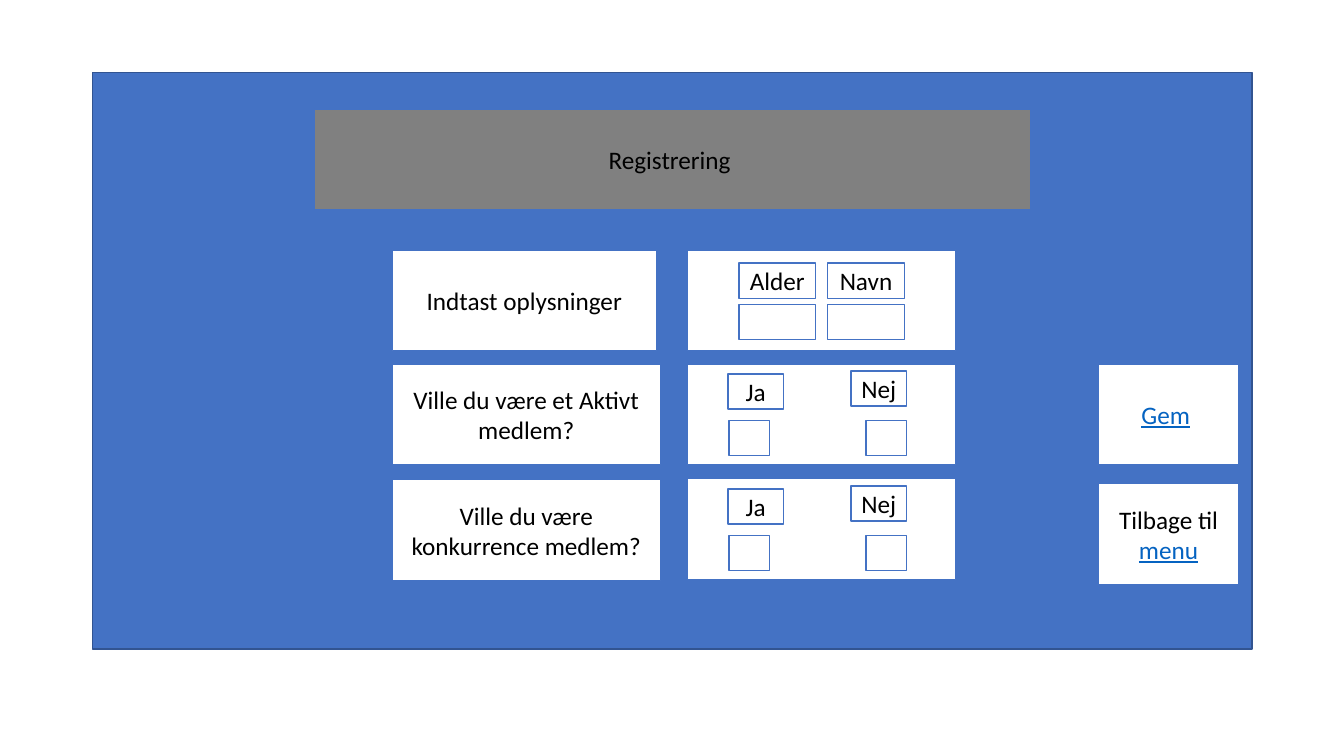
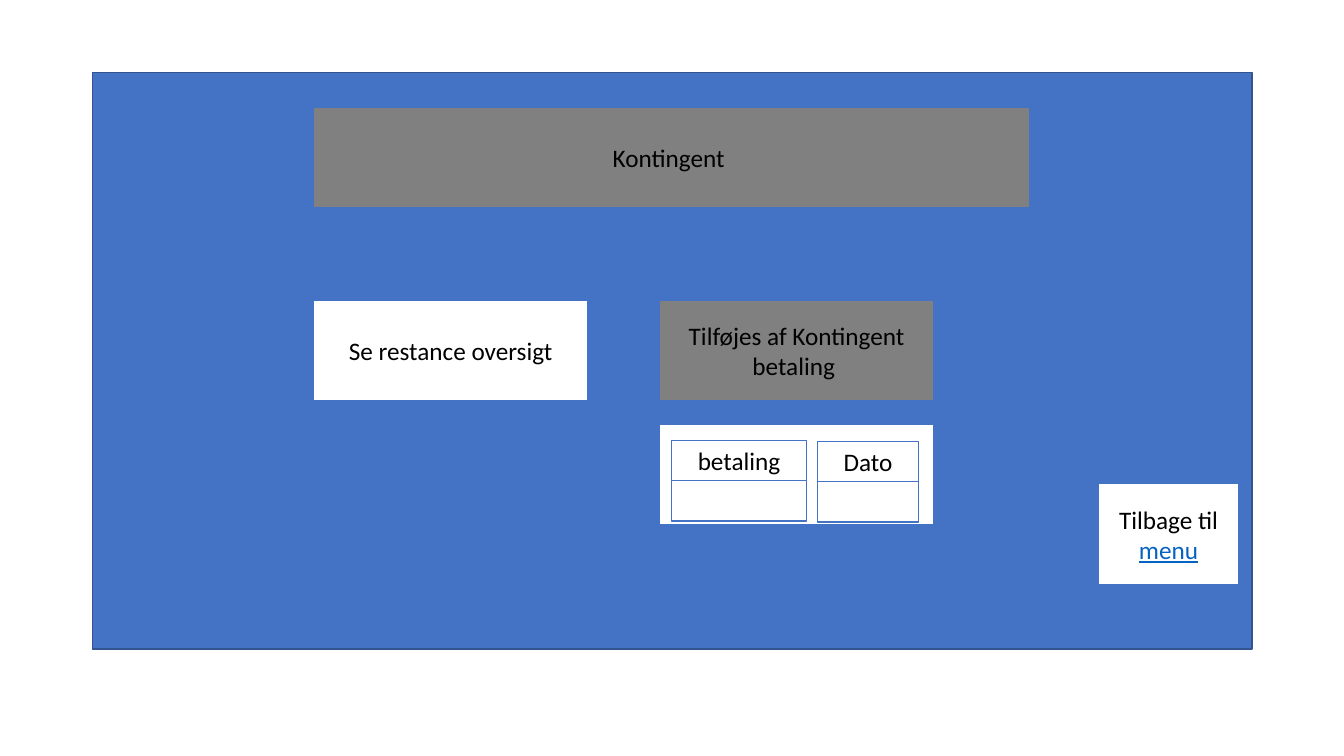
from pptx import Presentation
from pptx.dml.color import RGBColor
from pptx.enum.shapes import MSO_SHAPE as Shape
from pptx.enum.text import MSO_ANCHOR as Anchor, MSO_AUTO_SIZE as AutoSize, PP_ALIGN as Align
from pptx.util import Inches, Pt

BLUE, DARK_BLUE, LINK_BLUE = "4472C4", "325491", "0563C1"
GRAY, WHITE, BLACK = "808080", "FFFFFF", "000000"
FONT = "Calibri"
ROW_HEIGHT = 1
BACK_TEXT = [("Tilbage til ", False), ("menu", True)]


def color(value):
    return RGBColor.from_string(value)


def paint(shape, fill, line):
    shape.fill.solid()
    shape.fill.fore_color.rgb = color(fill)
    shape.line.color.rgb = color(line)
    shape.line.width = Pt(1)


def write(shape, spans, size=18, ink=BLACK, align=Align.CENTER):
    frame = shape.text_frame
    frame.word_wrap = True
    frame.auto_size = AutoSize.NONE
    frame.vertical_anchor = Anchor.MIDDLE
    para = frame.paragraphs[0]
    para.alignment = align
    for text, is_link in spans:
        span = para.add_run()
        span.text = text
        span.font.name = FONT
        span.font.size = Pt(size)
        span.font.underline = is_link
        span.font.color.rgb = color(LINK_BLUE if is_link else ink)


def add_box(page, left, top, width, height=ROW_HEIGHT, text="", spans=None, fill=WHITE, line=BLUE):
    box = page.shapes.add_shape(
        Shape.RECTANGLE, Inches(left), Inches(top), Inches(width), Inches(height))
    box.shadow.inherit = False
    paint(box, fill, line)
    if text or spans:
        write(box, spans or [(text, False)])
    return box


def add_page(deck, heading, left, top):
    page = deck.slides.add_slide(deck.slide_layouts[5])
    title = page.shapes.title
    panel = add_box(page, 0.92, 0.72, 11.5, 5.72, fill=BLUE, line=DARK_BLUE)
    title.element.addprevious(panel.element)
    title.left, title.top = Inches(left), Inches(top)
    title.width, title.height = Inches(7.1), Inches(ROW_HEIGHT)
    paint(title, GRAY, BLUE)
    write(title, [(heading, False)])
    add_box(page, 10.89, 4.8, 1.4, spans=BACK_TEXT)
    return page


def add_field(page, left, top, width, height, label, step):
    add_box(page, left, top + step, width, height)
    add_box(page, left, top, width, height, label)


def add_choice(page, left, top, label, check_left, check_top):
    add_box(page, check_left, check_top, 0.4, 0.35)
    add_box(page, left, top, 0.55, 0.35, label)


def add_question(page, question, question_top, answer_top):
    add_box(page, 3.89, question_top, 2.66, text=question)
    add_box(page, 6.82, answer_top, 2.66)
    check_top = answer_top + 0.56
    add_choice(page, 8.44, answer_top + 0.07, "Nej", 8.59, check_top)
    add_choice(page, 7.22, answer_top + 0.1, "Ja", 7.23, check_top)


def build_registration(deck):
    page = add_page(deck, "Registrering ", 3.12, 1.08)
    add_box(page, 3.89, 2.48, 2.62, text="Indtast oplysninger")
    add_box(page, 6.82, 2.48, 2.66)
    for left, label in ((7.33, "Alder"), (8.21, "Navn")):
        add_field(page, left, 2.61, 0.76, 0.35, label, step=0.41)
    add_question(page, "Ville du være et Aktivt medlem?", 3.61, 3.61)
    add_question(page, "Ville du være konkurrence medlem?", 4.76, 4.75)
    add_box(page, 10.89, 3.61, 1.4, spans=[("Gem", True), (" ", False)])


def build_dues(deck):
    page = add_page(deck, "Kontingent ", 3.11, 1.06)
    add_box(page, 3.11, 2.98, 2.72, text="Se restance oversigt")
    add_box(page, 6.54, 2.98, 2.72, text="Tilføjes af Kontingent betaling ", fill=GRAY)
    add_box(page, 6.54, 4.21, 2.72)
    add_field(page, 6.66, 4.37, 1.34, 0.4, "betaling", step=0.4)
    add_field(page, 8.11, 4.38, 1, 0.4, "Dato", step=0.4)


def main():
    deck = Presentation()
    deck.slide_width, deck.slide_height = Inches(13.33), Inches(7.5)
    build_registration(deck)
    build_dues(deck)
    deck.save("out.pptx")


main()
